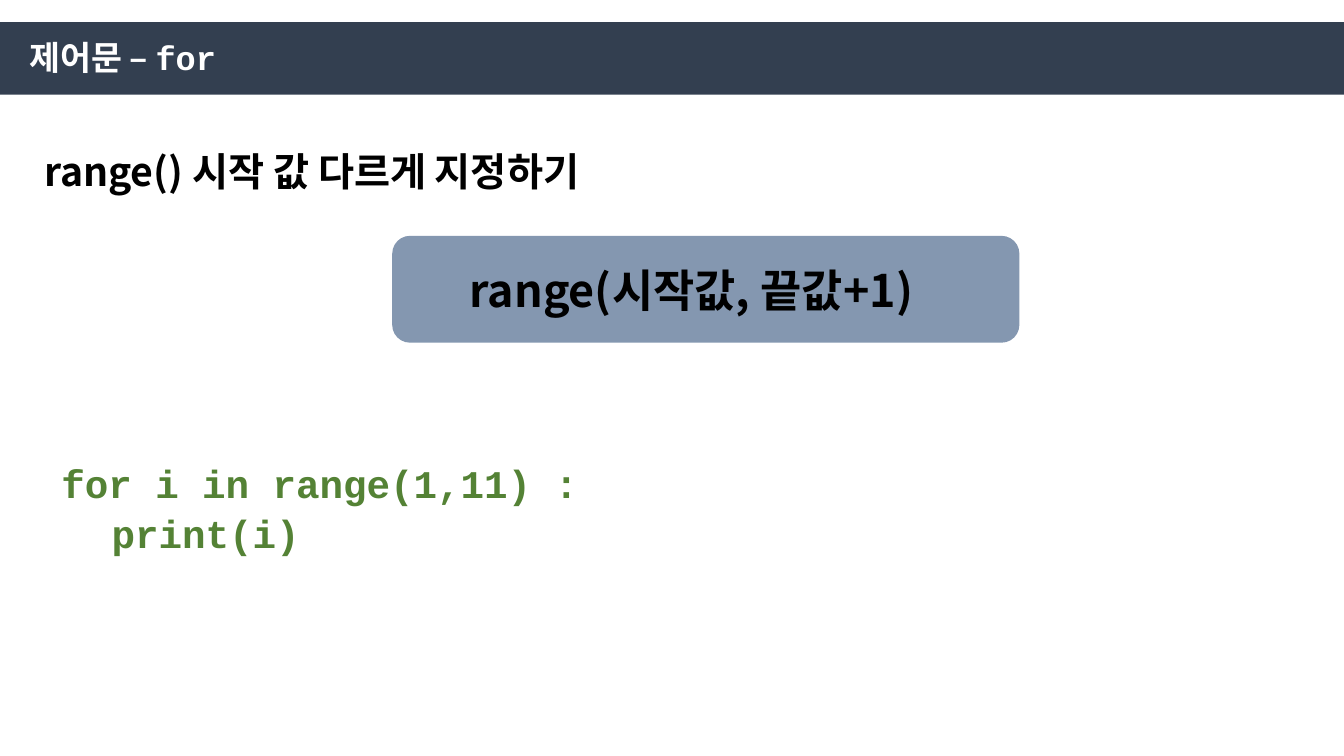
from pptx import Presentation
from pptx import util as u
from pptx.dml.color import RGBColor
from pptx.enum import shapes, text
from pptx.oxml import ns
from lxml import etree

COLORS = {
    "bar": "333F50",
    "panel": "8497B0",
    "light": "FFFFFF",
    "dark": "000000",
    "code": "548235",
}
MONO = "Courier New"
HANGUL = "Noto Sans CJK KR"


def place(box, left, top, width, height):
    box.left, box.top = u.Inches(left), u.Inches(top)
    box.width, box.height = u.Inches(width), u.Inches(height)


def write(box, lines, size, color, font=HANGUL, spacing=1.0):
    frame = box.text_frame
    frame.word_wrap = True
    frame.auto_size = text.MSO_AUTO_SIZE.NONE
    frame.vertical_anchor = text.MSO_ANCHOR.TOP
    for index, line in enumerate(lines):
        paragraph = frame.add_paragraph() if index else frame.paragraphs[0]
        paragraph.alignment = text.PP_ALIGN.LEFT
        paragraph.line_spacing = spacing
        paragraph.space_before = u.Pt(0)
        run = paragraph.add_run()
        run.text = line
        run.font.name = font
        run.font.size = u.Pt(size)
        run.font.bold = True
        run.font.color.rgb = RGBColor.from_string(COLORS[color])
        east_asian = etree.SubElement(run.font._element, ns.qn("a:ea"))
        east_asian.set("typeface", HANGUL)


def add_panel(slide, kind, color, left, top, width, height):
    panel = slide.shapes.add_shape(kind, 0, 0, 0, 0)
    place(panel, left, top, width, height)
    panel.shadow.inherit = False
    panel.fill.solid()
    panel.fill.fore_color.rgb = RGBColor.from_string(COLORS[color])
    panel.line.fill.background()


def add_label(slide, lines, area, **style):
    label = slide.shapes.add_textbox(0, 0, 0, 0)
    place(label, *area)
    write(label, lines, **style)


def main():
    deck = Presentation()
    deck.slide_width, deck.slide_height = u.Inches(13.33), u.Inches(7.5)
    slide = deck.slides.add_slide(deck.slide_layouts[5])

    add_panel(slide, shapes.MSO_SHAPE.RECTANGLE, "bar", 0, 0.22, 13.33, 0.72)
    title = slide.shapes.title
    slide.shapes._spTree.append(title._element)
    place(title, 0.19, 0.32, 9.92, 0.91)
    write(title, ["제어문 – for"], size=24, color="light", font=MONO)

    add_panel(slide, shapes.MSO_SHAPE.ROUNDED_RECTANGLE, "panel",
              3.89, 2.34, 6.22, 1.06)
    add_label(slide, ["range() 시작 값 다르게 지정하기"],
              (0.34, 1.41, 8.98, 0.57), size=28, color="dark")
    add_label(slide, ["range(시작값, 끝값+1)"],
              (4.56, 2.56, 7.45, 0.64), size=32, color="dark")
    add_label(slide, ["for i in range(1,11) :", "\tprint(i)"],
              (0.51, 4.47, 5.85, 1.04), size=28, color="code", font=MONO,
              spacing=1.07)

    deck.save("out.pptx")


if __name__ == "__main__":
    main()
